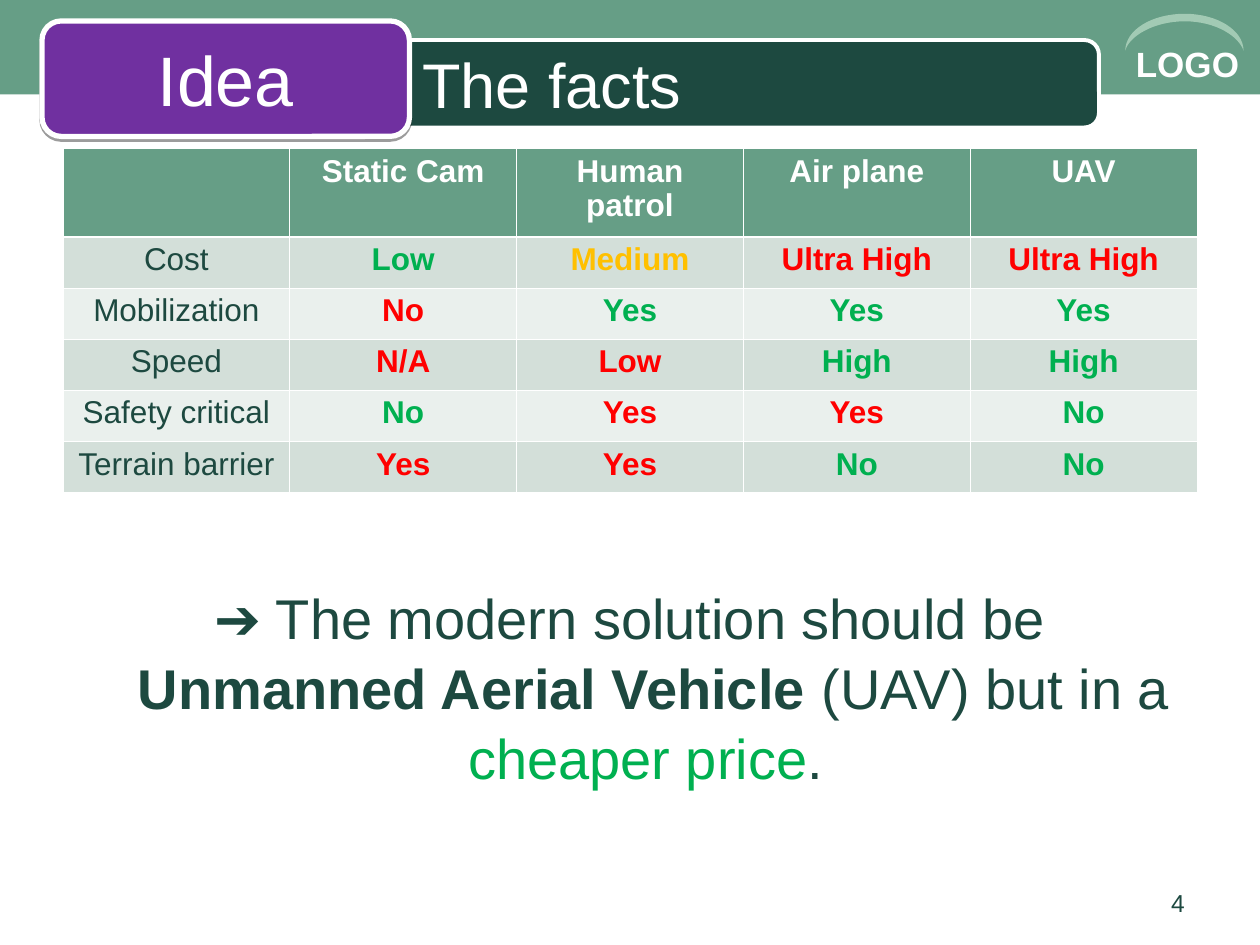
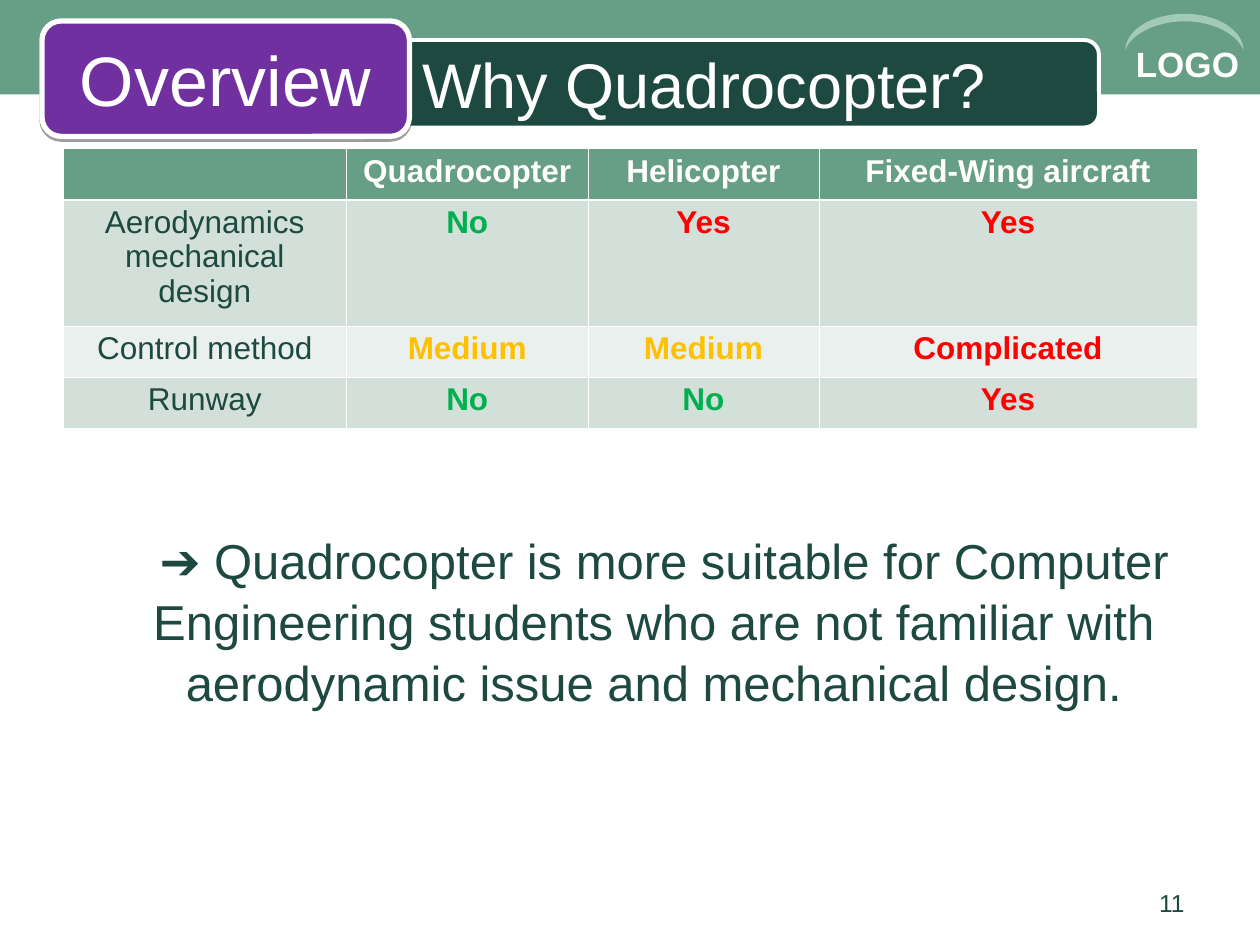
from lxml.etree import SubElement
from pptx import Presentation
from pptx.dml.color import RGBColor
from pptx.enum.shapes import MSO_SHAPE
from pptx.enum.text import MSO_ANCHOR, MSO_AUTO_SIZE, PP_ALIGN
from pptx.oxml.ns import qn
from pptx.util import Pt

COLORS = {
    "white": "FFFFFF", "black": "000000", "green": "669E86", "dark": "1D4940",
    "arc": "A2CAB4", "badge": "7030A0", "row_odd": "D3DFD9", "row_even": "EAF0ED",
    "good": "00B050", "medium": "FFC000", "bad": "FF0000",
}
FONT = "Arial"


def rgb(name):
    return RGBColor.from_string(COLORS[name])


def bezier(p0, p1, p2, p3, steps=16):
    """Points along a cubic curve, without its start."""
    for i in range(1, steps + 1):
        t = i / steps
        weights = ((1 - t) ** 3, 3 * t * (1 - t) ** 2, 3 * t * t * (1 - t), t ** 3)
        yield tuple(Pt(sum(w * p[axis] for w, p in zip(weights, (p0, p1, p2, p3))))
                    for axis in (0, 1))


class Deck:
    def __init__(self):
        self.prs = Presentation()
        self.prs.slide_width, self.prs.slide_height = Pt(720), Pt(540)
        self.s = None

    def font(self, r, size, color, bold=False):
        r.font.name, r.font.size, r.font.bold = FONT, Pt(size), bold
        r.font.color.rgb = rgb(color)

    def set_text(self, tf, text, size, color, bold=False, align=PP_ALIGN.LEFT):
        tf.text = text
        p = tf.paragraphs[0]
        p.alignment = align
        for r in p.runs:
            self.font(r, size, color, bold)
        return p

    def shape(self, kind, box, fill, line_width=0):
        sp = self.s.shapes.add_shape(kind, *map(Pt, box))
        sp.shadow.inherit = False
        sp.fill.solid()
        sp.fill.fore_color.rgb = rgb(fill)
        if line_width:
            sp.line.color.rgb = rgb("white")
            sp.line.width = Pt(line_width)
        else:
            sp.line.fill.background()
        return sp

    def text_box(self, box, *args, **kwargs):
        tf = self.s.shapes.add_textbox(*map(Pt, box)).text_frame
        tf.word_wrap = True
        return self.set_text(tf, *args, **kwargs)

    def arc(self):
        left, right, middle, base = (643, 29), (710.6, 29), 677, 29
        inner = bezier(right, (708, 21), (695, 12.2), (middle, 12.2))
        inner_left = bezier((middle, 12.2), (659, 12.2), (645, 21), left)
        outer = bezier(left, (643, 17.3), (658, 7.9), (middle, 7.9))
        outer_right = bezier((middle, 7.9), (695.5, 7.9), (710.6, 17.3), right)
        builder = self.s.shapes.build_freeform(Pt(right[0]), Pt(base))
        for curve in (inner, inner_left, outer, outer_right):
            builder.add_line_segments(list(curve), close=False)
        builder.add_line_segments([], close=True)
        sp = builder.convert_to_shape()
        sp.shadow.inherit = False
        sp.fill.solid()
        sp.fill.fore_color.rgb = rgb("arc")
        sp.line.fill.background()

    def badge(self, text):
        sp = self.shape(MSO_SHAPE.ROUNDED_RECTANGLE, (24, 12, 210, 66), "badge", 3)
        effects = sp._element.spPr.find(qn("a:effectLst"))
        shadow = SubElement(effects, qn("a:outerShdw"), dist=str(Pt(1.6)),
                            dir="5400000", rotWithShape="0")
        color = SubElement(shadow, qn("a:srgbClr"), val=COLORS["black"])
        SubElement(color, qn("a:alpha"), val="38000")
        sp.text_frame.vertical_anchor = MSO_ANCHOR.MIDDLE
        self.set_text(sp.text_frame, text, 40, "white", align=PP_ALIGN.CENTER)

    def title(self, text):
        sp = self.s.shapes.title
        self.s.shapes._spTree.append(sp._element)  # in front of the band
        sp.left, sp.top, sp.width, sp.height = map(Pt, (234, 25, 384, 45))
        tf = sp.text_frame
        tf.auto_size = MSO_AUTO_SIZE.NONE
        tf.vertical_anchor = MSO_ANCHOR.MIDDLE
        self.set_text(tf, text, 36, "white")

    def new_slide(self, section, title, number):
        self.s = self.prs.slides.add_slide(self.prs.slide_layouts[5])
        # Header bands and logo spot
        self.shape(MSO_SHAPE.RECTANGLE, (0, 0, 720, 54), "green")
        self.shape(MSO_SHAPE.ROUNDED_RECTANGLE, (24, 22.9, 604, 50), "dark", 2.25)
        self.text_box((642, 21, 78, 32), "LOGO", 20, "white", bold=True)
        self.arc()
        # Title, section badge and page number
        self.title(title)
        self.badge(section)
        self.text_box((516, 504, 168, 25), str(number), 14, "dark", align=PP_ALIGN.RIGHT)

    def cell_borders(self, cell, top, bottom):
        tc_pr = cell._tc.get_or_add_tcPr()
        for side, width in zip("LRTB", (0.45, 0.45, top, bottom)):
            ln = SubElement(tc_pr, qn("a:ln" + side), w=str(Pt(width)))
            fill = SubElement(ln, qn("a:solidFill"))
            SubElement(fill, qn("a:srgbClr"), val=COLORS["white"])

    def table(self, heads, rows, widths, heights):
        """Each row is a label, its values and the rating of each value."""
        table = self.s.shapes.add_table(
            len(heights), len(widths), Pt(36), Pt(85),
            Pt(sum(widths)), Pt(sum(heights))).table
        for column, width in zip(table.columns, widths):
            column.width = Pt(width)
        lines = [([""] + heads, ["white"] * len(widths))]
        lines += [([label] + values, ["dark"] + ratings.split())
                  for label, values, ratings in rows]
        for i, (texts, colors) in enumerate(lines):
            table.rows[i].height = Pt(heights[i])
            band = "green" if i == 0 else "row_odd" if i % 2 else "row_even"
            for j, (text, color) in enumerate(zip(texts, colors)):
                cell = table.cell(i, j)
                self.cell_borders(cell, 1.47 if i == 1 else 0.45, 1.47 if i == 0 else 0.45)
                cell.fill.solid()
                cell.fill.fore_color.rgb = rgb(band)
                p = self.set_text(cell.text_frame, text, 18, color, color != "dark",
                                  PP_ALIGN.CENTER)
                p.line_spacing = 0.97

    def conclusion(self, top, height, size, parts, first_indent=-27):
        """Parts are (text, colour, bold) runs of one paragraph."""
        p = self.text_box((36, top, 648, height), "", size, "dark", align=PP_ALIGN.CENTER)
        p.line_spacing = 1.04
        p_pr = p._p.get_or_add_pPr()
        p_pr.set("marL", str(Pt(27)))
        p_pr.set("indent", str(Pt(first_indent)))
        for text, color, bold in parts:
            r = p.add_run()
            r.text = text
            self.font(r, size, color, bold)


def main():
    deck = Deck()

    # Comparison of surveillance options
    deck.new_slide("Idea", "The facts", 4)
    deck.table(
        ["Static Cam", "Human patrol", "Air plane", "UAV"],
        [("Cost", ["Low", "Medium", "Ultra High", "Ultra High"], "good medium bad bad"),
         ("Mobilization", ["No", "Yes", "Yes", "Yes"], "bad good good good"),
         ("Speed", ["N/A", "Low", "High", "High"], "bad bad good good"),
         ("Safety critical", ["No", "Yes", "Yes", "No"], "good bad bad good"),
         ("Terrain barrier", ["Yes", "Yes", "No", "No"], "bad bad good good")],
        [129.6] * 5, [50.4] + [29.2] * 5)
    deck.conclusion(328.5, 169.5, 32, [
        ("➔ The modern solution should be ", "dark", False),
        ("Unmanned Aerial Vehicle ", "dark", True),
        ("(UAV) but in a ", "dark", False),
        ("cheaper price", "good", False),
        (". ", "dark", False)])

    # Comparison of aircraft types
    deck.new_slide("Overview", "Why Quadrocopter?", 11)
    deck.table(
        ["Quadrocopter", "Helicopter", "Fixed-Wing aircraft"],
        [("Aerodynamics mechanical design", ["No", "Yes", "Yes"], "good bad bad"),
         ("Control method", ["Medium", "Medium", "Complicated"], "medium medium bad"),
         ("Runway", ["No", "No", "Yes"], "good good bad")],
        [162, 138, 132, 216], [29.2, 72, 29.2, 29.2])
    deck.conclusion(298, 200, 28, [
        ("➔ Quadrocopter is more suitable for Computer Engineering students who are "
         "not familiar with aerodynamic issue and mechanical design.", "dark", False)],
        first_indent=12)

    deck.prs.save("out.pptx")


if __name__ == "__main__":
    main()
